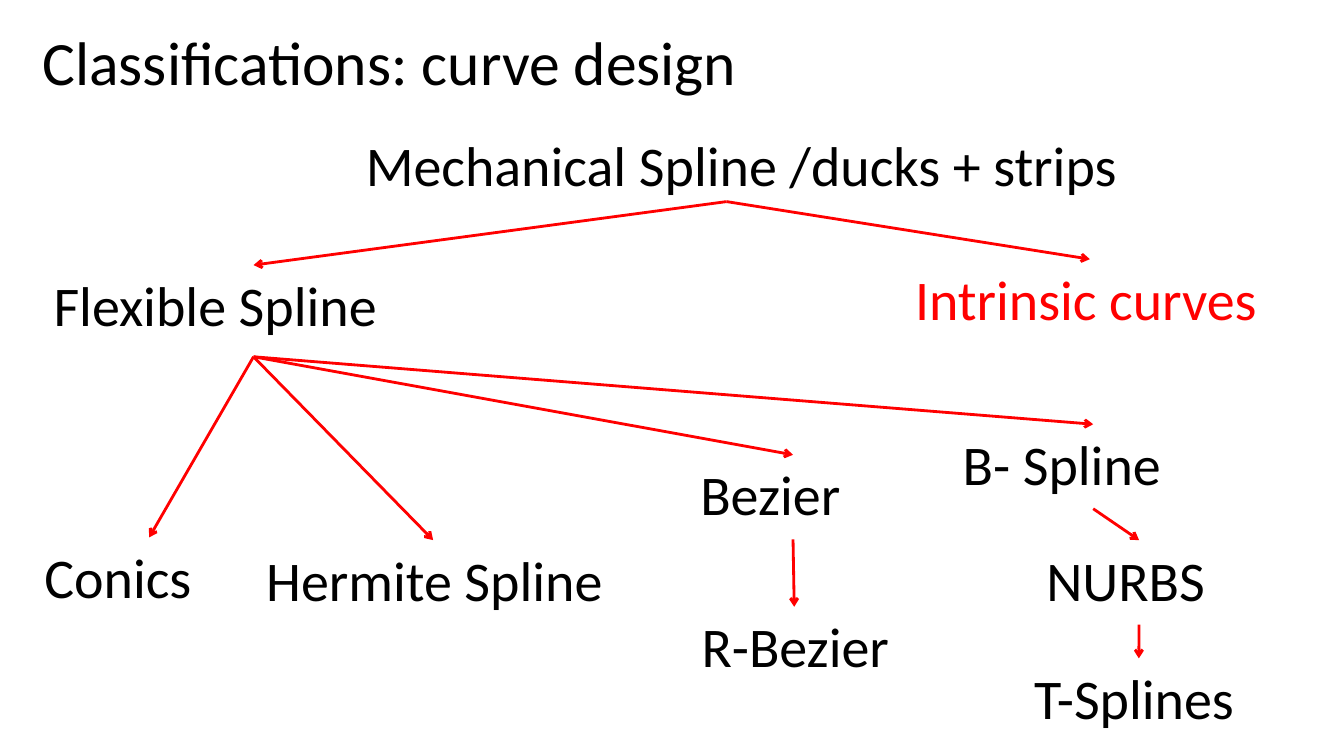
from lxml import etree
from pptx import Presentation
from pptx.dml.color import RGBColor
from pptx.enum.shapes import MSO_CONNECTOR
from pptx.enum.text import MSO_ANCHOR
from pptx.oxml.ns import qn
from pptx.util import Cm, Pt

STRAIGHT = MSO_CONNECTOR.STRAIGHT
TOP, MIDDLE = MSO_ANCHOR.TOP, MSO_ANCHOR.MIDDLE
TOP_SIDE, BOTTOM_SIDE = 0, 2

COLOURS = {"text": "000000", "accent": "FF0000"}
FONT_NAME = "Calibri"
LINE_WIDTH = 2

TITLE = "Classifications: curve design"
ROOT = "Mechanical Spline /ducks + strips"
BOXES = {
    TITLE: (0.94, 0.33, 29.21, 2.64),
    ROOT: (8.15, 3.35, 20.32, 1.73),
    "Flexible Spline": (0.79, 6.68, 11.2, 2.31),
    "Intrinsic curves": (22.5, 6.53, 9.93, 2.49),
    "Conics": (0.56, 13.54, 6.4, 2.79),
    "Hermite Spline": (6.15, 13.61, 9.53, 2.29),
    "Bezier": (17.09, 11.46, 5.79, 2.13),
    "B- Spline": (23.7, 10.69, 7.7, 2.13),
    "R-Bezier": (17.12, 15.29, 5.79, 2.79),
    "NURBS": (25.81, 13.61, 5.79, 2.13),
    "T-Splines": (25.5, 16.59, 6.4, 2.13),
}
CHILDREN = {
    ROOT: ["Flexible Spline", "Intrinsic curves"],
    "Flexible Spline": ["Conics", "Hermite Spline", "Bezier", "B- Spline"],
    "Bezier": ["R-Bezier"],
    "B- Spline": ["NURBS"],
    "NURBS": ["T-Splines"],
}
NODE_FORMAT = {"size": 40, "colour": "text", "inset": 0.56, "spacing": 1.0, "anchor": TOP}
SPECIAL_FORMATS = {
    TITLE: {"size": 44, "inset": 0.13, "spacing": 0.9, "anchor": MIDDLE},
    ROOT: {"inset": 1.07, "spacing": 0.9},
    "Intrinsic curves": {"colour": "accent"},
}


def add_label(slide, text, box):
    style = {**NODE_FORMAT, **SPECIAL_FORMATS.get(text, {})}
    shape = slide.shapes.add_textbox(*map(Cm, box))
    frame_format = {
        "word_wrap": True,
        "vertical_anchor": style["anchor"],
        "margin_left": Cm(style["inset"]),
        "margin_right": Cm(0.13),
        "margin_top": Cm(0.13),
        "margin_bottom": Cm(0.13),
    }
    for name, value in frame_format.items():
        setattr(shape.text_frame, name, value)
    paragraph = shape.text_frame.paragraphs[0]
    paragraph.line_spacing = style["spacing"]
    run = paragraph.add_run()
    run.text = text
    for name, value in {"name": FONT_NAME, "size": Pt(style["size"])}.items():
        setattr(run.font, name, value)
    run.font.color.rgb = RGBColor.from_string(COLOURS[style["colour"]])
    return shape


def add_arrow(slide, parent, child):
    connector = slide.shapes.add_connector(STRAIGHT, 0, 0, 0, 0)
    connector.begin_connect(parent, BOTTOM_SIDE)
    connector.end_connect(child, TOP_SIDE)
    connector.line.width = Pt(LINE_WIDTH)
    connector.line.color.rgb = RGBColor.from_string(COLOURS["accent"])
    properties = connector.element.spPr
    etree.SubElement(properties.find(qn("a:ln")), qn("a:tailEnd"), type="arrow")
    etree.SubElement(properties, qn("a:effectLst"))


def main():
    """Build the tree of curve design classes."""
    presentation = Presentation()
    presentation.slide_width, presentation.slide_height = Cm(33.87), Cm(19.05)
    slide = presentation.slides.add_slide(presentation.slide_layouts[6])
    labels = {text: add_label(slide, text, box) for text, box in BOXES.items()}
    for parent, children in CHILDREN.items():
        for child in children:
            add_arrow(slide, labels[parent], labels[child])
    presentation.save("out.pptx")


if __name__ == "__main__":
    main()
